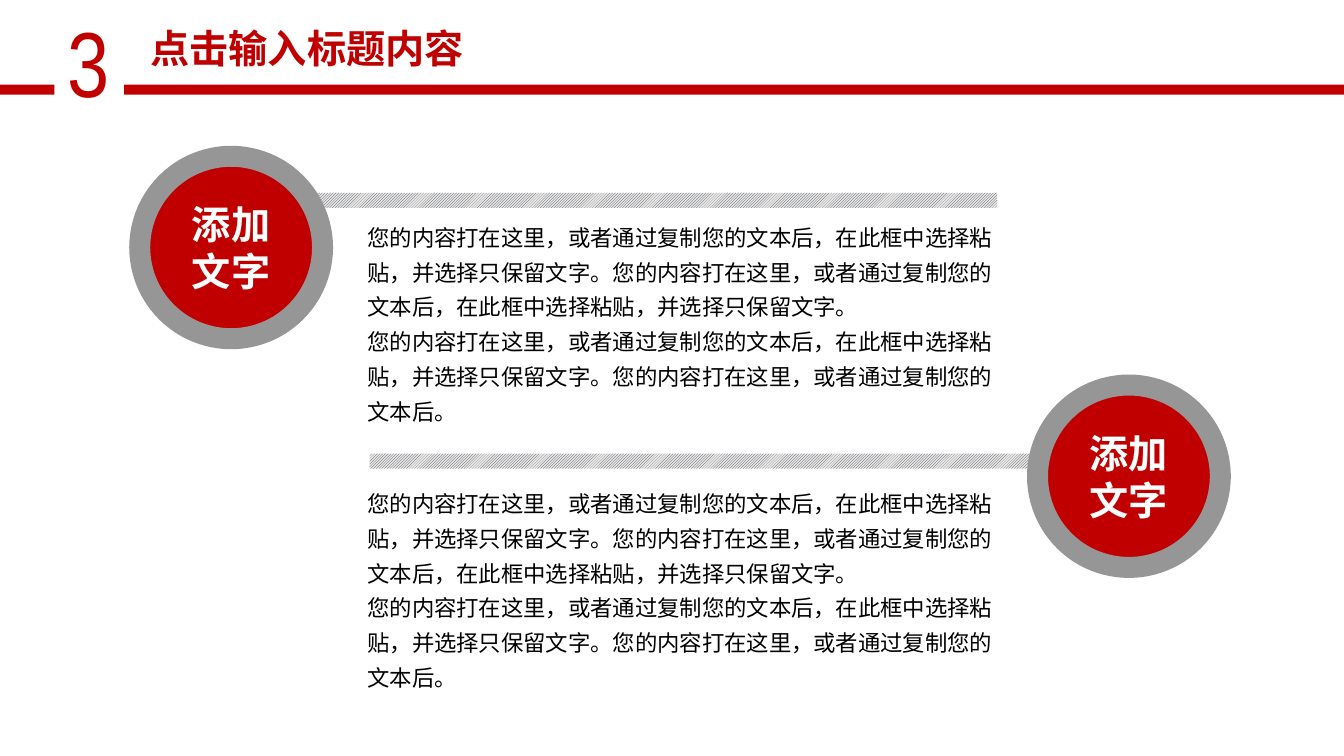
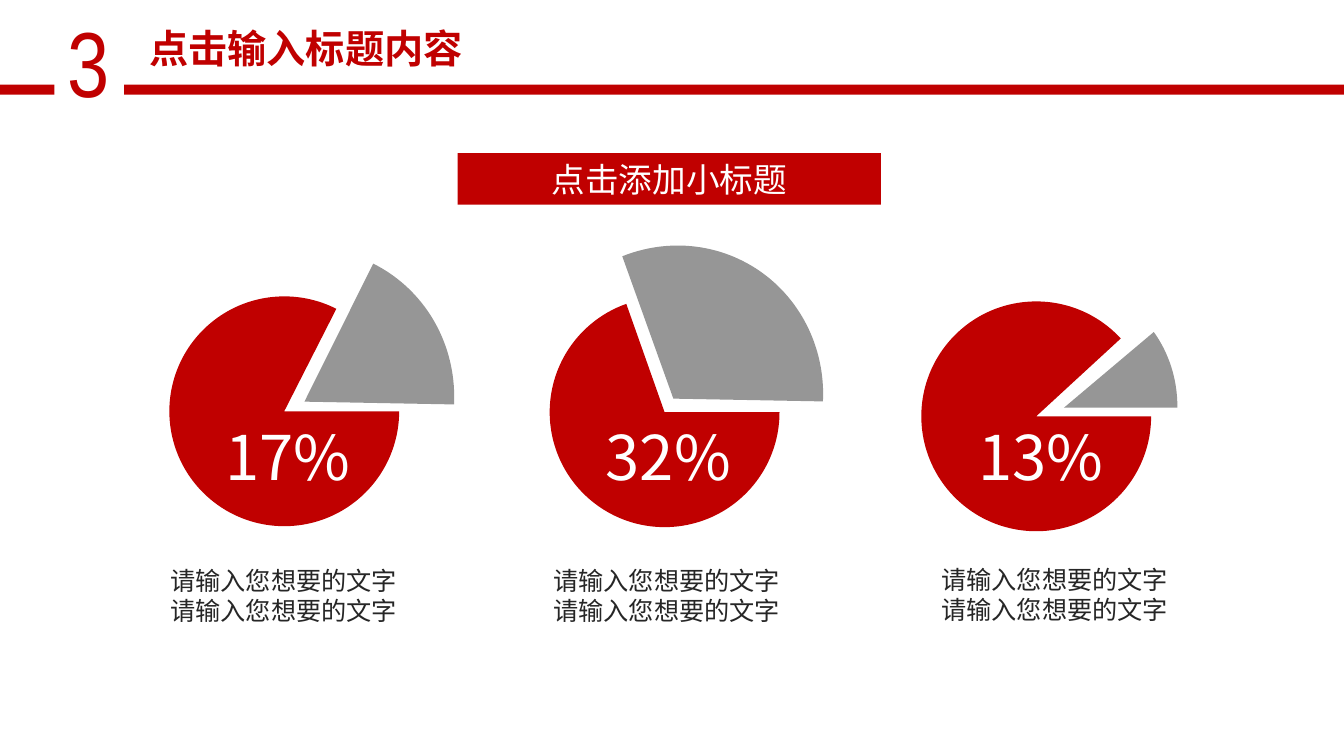
from pptx import Presentation
from pptx.dml.color import RGBColor
from pptx.enum.dml import MSO_PATTERN
from pptx.enum.shapes import MSO_SHAPE
from pptx.enum.text import MSO_ANCHOR, MSO_AUTO_SIZE, PP_ALIGN
from pptx.oxml.ns import qn
from pptx.util import Inches, Pt
from lxml.etree import SubElement

RED, GREY, WHITE, BLACK, DARK = "C00000", "969696", "FFFFFF", "000000", "262626"
STRIPE, STRIPE_BACK = "414455", "E8E8E6"
SANS, NARROW = "Noto Sans CJK SC", "Arial Narrow"
CENTER = PP_ALIGN.CENTER

presentation = Presentation()
presentation.slide_width = Inches(13.333)
presentation.slide_height = Inches(7.5)
color = RGBColor.from_string


def add_block(slide, kind, left, top, width, height, fill=None):
    """Add a shape, or a text box if kind is None; lengths are percent of the slide."""
    across, down = presentation.slide_width / 100, presentation.slide_height / 100
    box = [int(length) for length in
           (left * across, top * down, width * across, height * down)]
    if kind is None:
        return slide.shapes.add_textbox(*box)
    shape = slide.shapes.add_shape(kind, *box)
    shape.shadow.inherit = False
    shape.line.fill.background()
    if fill:
        shape.fill.solid()
        shape.fill.fore_color.rgb = color(fill)
    return shape


def write(shape, *lines, size, ink, font=SANS, bold=False, align=PP_ALIGN.LEFT,
          spacing=None, anchor=MSO_ANCHOR.TOP, grow=True):
    frame = shape.text_frame
    frame.word_wrap = True
    frame.vertical_anchor = anchor
    frame.auto_size = MSO_AUTO_SIZE.SHAPE_TO_FIT_TEXT if grow else MSO_AUTO_SIZE.NONE
    for index, line in enumerate(lines):
        paragraph = frame.add_paragraph() if index else frame.paragraphs[0]
        paragraph.alignment = align
        paragraph.line_spacing = spacing
        run = paragraph.add_run()
        run.text = line
        run.font.name, run.font.size, run.font.bold = font, Pt(size), bold
        run.font.color.rgb = color(ink)
        SubElement(run.font._element, qn("a:ea")).set("typeface", font)


# Shared header
slides = []
for title_left in (9.38, 9.3):
    slide = presentation.slides.add_slide(presentation.slide_layouts[6])
    number = add_block(slide, None, 4.28, 0, 2.55, 16.13)
    write(number, "3", size=66, ink=RED, font=NARROW)
    for left, width in ((0, 4.05), (9.23, 90.77)):
        add_block(slide, MSO_SHAPE.RECTANGLE, left, 11.2, width, 1.33, RED)
    title = add_block(slide, None, title_left, 2.53, 26.93, 7.6)
    write(title, "点击输入标题内容", size=28, ink=RED, bold=True, align=CENTER)
    slides.append(slide)
text_slide, pie_slide = slides

# Slide 1: two striped bars, each ending in a circle, with text below
opening = "您的内容打在这里，或者通过复制您的文本后"
sentence = opening + "，在此框中选择粘贴，并选择只保留文字。"
sections = (
    # stripe left, stripe top, circle left, circle top, text top
    (22.8, 25.5, 10.4, 20.67, 27.87),
    (27.5, 60, 77.2, 50.93, 63.07),
)
for stripe_left, stripe_top, circle_left, circle_top, text_top in sections:
    stripe = add_block(text_slide, MSO_SHAPE.RECTANGLE, stripe_left, stripe_top, 51.4, 2)
    stripe.fill.patterned()
    stripe.fill.pattern = MSO_PATTERN.LIGHT_UPWARD_DIAGONAL
    stripe.fill.fore_color.rgb = color(STRIPE)
    stripe.fill.back_color.rgb = color(STRIPE_BACK)

    circle = add_block(text_slide, MSO_SHAPE.OVAL, circle_left, circle_top, 13.6, 24.13, RED)
    circle.line.color.rgb = color(GREY)
    circle.line.width = Pt(15)
    write(circle, "添加文字", size=28, ink=WHITE, bold=True, align=CENTER,
          anchor=MSO_ANCHOR.MIDDLE, grow=False)

    body = add_block(text_slide, None, 26.6, text_top, 48.45, 29.33)
    write(body, sentence * 2, sentence + opening + "。", size=16, ink=BLACK, spacing=1.3)

# Slide 2: banner and three pies, each with a wedge pulled out
banner = add_block(pie_slide, MSO_SHAPE.RECTANGLE, 34.05, 20.27, 31.5, 6.8, RED)
write(banner, "点击添加小标题", size=24, ink=WHITE, align=CENTER,
      anchor=MSO_ANCHOR.MIDDLE, grow=False)

PIE_SIZE = (17.1, 30.4)
LARGE_WEDGE, SMALL_WEDGE = (22.95, 39.33), (18.23, 30)
pies = (
    # label, label left, caption left and top, pie place and end angle,
    # wedge place and size, wedge rotation, start and end angle
    ("17%", 16.05, (11.93, 74.13), (12.6, 39.2), 296.96,
     (11.18, 33.47, *LARGE_WEDGE), 296.5, 0, 64.56),
    ("32%", 44.33, (40.43, 74.13), (40.9, 39.33), 250.53,
     (38.63, 33.07, *LARGE_WEDGE), 296.5, 313.78, 64.56),
    ("13%", 72.08, (69.3, 74), (68.55, 39.87), 317.38,
     (70.05, 38.93, *SMALL_WEDGE), 273.9, 45.97, 86.04),
)
ANGLE_UNIT = 0.6  # one degree in adjustment units
for (label, label_left, caption_place, pie_place, pie_end,
     wedge_box, rotation, wedge_start, wedge_end) in pies:
    for box, fill, turn, start, end in (
        ((*pie_place, *PIE_SIZE), RED, 0, 0, pie_end),
        (wedge_box, GREY, rotation, wedge_start, wedge_end),
    ):
        sector = add_block(pie_slide, MSO_SHAPE.PIE, *box, fill)
        sector.rotation = turn
        sector.adjustments[0] = start * ANGLE_UNIT
        sector.adjustments[1] = end * ANGLE_UNIT
    percentage = add_block(pie_slide, None, label_left, 54.8, 13.2, 11.2)
    write(percentage, label, size=44, ink=WHITE)
    caption = add_block(pie_slide, None, *caption_place, 19.25, 9.47)
    write(caption, *["请输入您想要的文字"] * 2, size=18, ink=DARK)

presentation.save("out.pptx")
